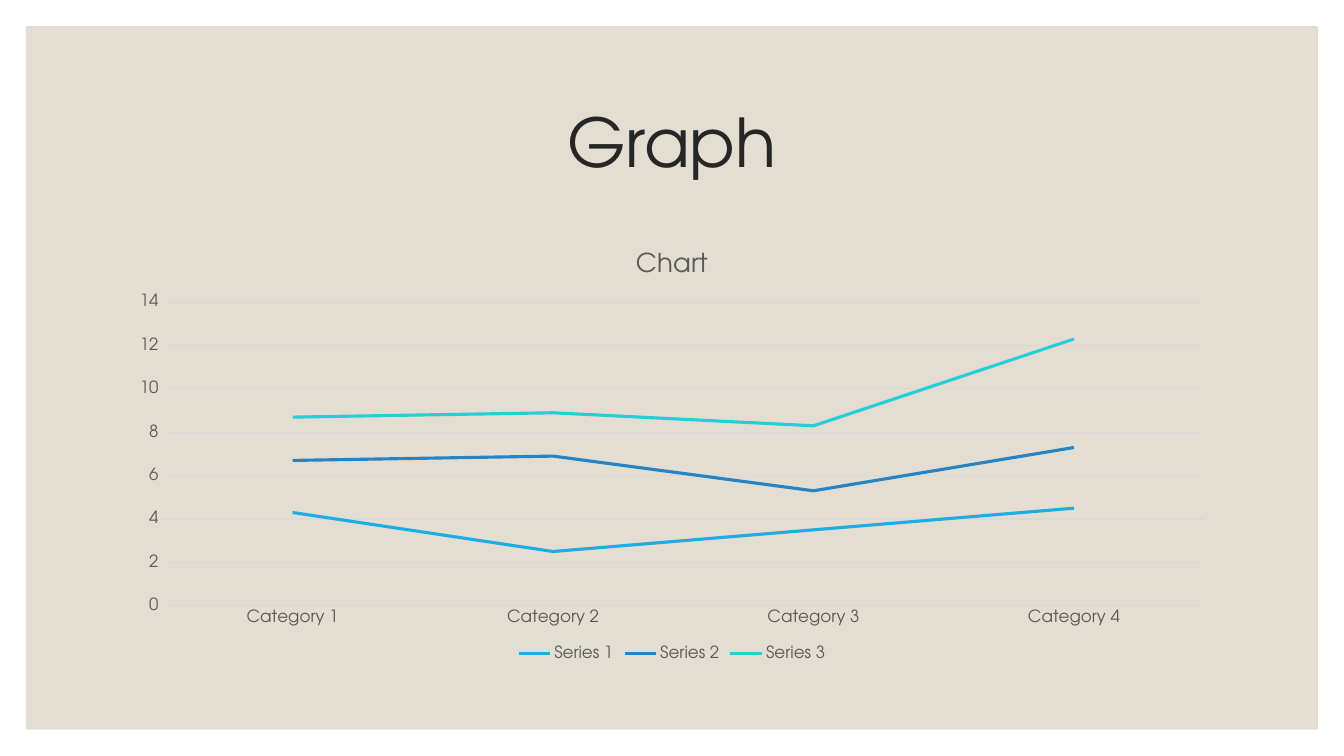
from pptx import Presentation
from pptx.chart import data as d
from pptx.dml.color import RGBColor
from pptx.enum import chart as c, shapes, text
from pptx.util import Pt

FACE = "TeX Gyre Adventor"
HUES = {
    "sand": "E3DED1",
    "ink": "262626",
    "label": "595959",
    "grid": "D9D9D9",
    "Series 1": "1CADE4",
    "Series 2": "2683C6",
    "Series 3": "27CED7",
}
ROWS = {
    "Series 1": (4.3, 2.5, 3.5, 4.5),
    "Series 2": (2.4, 4.4, 1.8, 2.8),
    "Series 3": (2, 2, 3, 5),
}


def style(font, size, hue):
    font.name, font.size, font.bold = FACE, Pt(size), False
    font.color.rgb = RGBColor.from_string(HUES[hue])


def stroke(line, hue, width):
    line.color.rgb = RGBColor.from_string(HUES[hue])
    line.width = Pt(width)


deck = Presentation()
deck.slide_width, deck.slide_height = Pt(960), Pt(540)
slide = deck.slides.add_slide(deck.slide_layouts[5])

# Panel, sent behind the title
panel = slide.shapes.add_shape(
    shapes.MSO_SHAPE.RECTANGLE, Pt(18.6), Pt(18.6), Pt(922.8), Pt(502.6))
panel.shadow.inherit = False
panel.fill.solid()
panel.fill.fore_color.rgb = RGBColor.from_string(HUES["sand"])
panel.line.fill.background()
slide.shapes._spTree.insert(2, panel._element)

# Title
title = slide.shapes.title
title.left, title.top, title.width, title.height = Pt(84), Pt(50.4), Pt(792), Pt(108)
frame = title.text_frame
frame.text = "Graph"
frame.vertical_anchor = text.MSO_ANCHOR.MIDDLE
head = frame.paragraphs[0]
head.alignment = text.PP_ALIGN.CENTER
head.line_spacing = 0.9
style(head.font, 48, "ink")

# Chart
data = d.CategoryChartData()
data.categories = [f"Category {n}" for n in range(1, 5)]
for name, vals in ROWS.items():
    data.add_series(name, vals)
chart = slide.shapes.add_chart(
    c.XL_CHART_TYPE.LINE_STACKED, Pt(84), Pt(165.6), Pt(792), Pt(309.6), data).chart
style(chart.font, 12, "label")

chart.has_title = True
chart.chart_title.include_in_layout = False
label = chart.chart_title.text_frame
label.text = "Chart"
style(label.paragraphs[0].font, 18.6, "label")

chart.has_legend = True
chart.legend.position = c.XL_LEGEND_POSITION.BOTTOM
chart.legend.include_in_layout = False
style(chart.legend.font, 12, "label")

for axis in (chart.category_axis, chart.value_axis):
    axis.major_tick_mark = axis.minor_tick_mark = c.XL_TICK_MARK.NONE
    style(axis.tick_labels.font, 12, "label")
stroke(chart.category_axis.format.line, "grid", 0.75)
chart.value_axis.format.line.fill.background()
chart.value_axis.has_major_gridlines = True
stroke(chart.value_axis.major_gridlines.format.line, "grid", 0.75)

plot = chart.plots[0]
plot.vary_by_categories = False
for row in plot.series:
    row.smooth = False
    stroke(row.format.line, row.name, 2.25)

deck.save("out.pptx")
